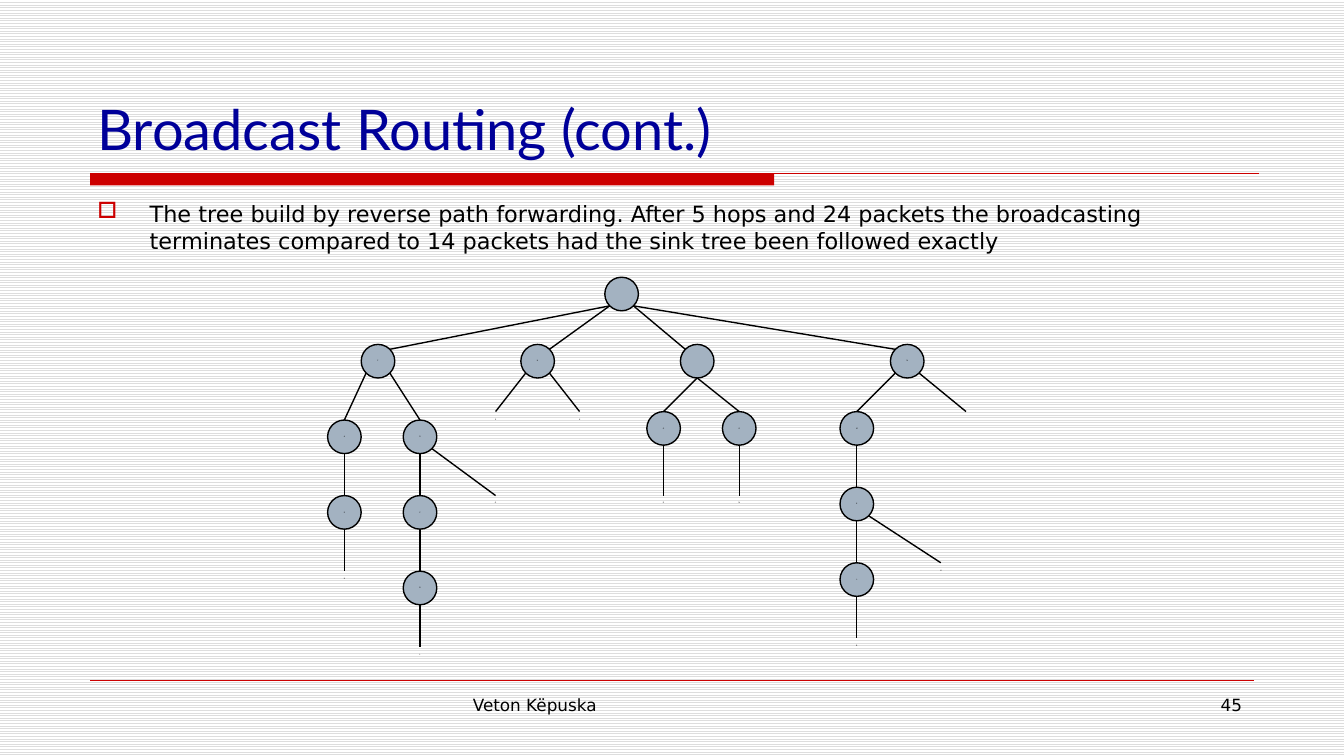
from dataclasses import dataclass
from typing import Any

import pptx
import pptx.dml.color
import pptx.enum.dml
import pptx.enum.shapes
import pptx.enum.text
import pptx.oxml
import pptx.oxml.ns
import pptx.util
from lxml import etree

RGB = pptx.dml.color.RGBColor
BLACK = RGB(0x00, 0x00, 0x00)
WHITE = RGB(0xFF, 0xFF, 0xFF)
GREY = RGB(0xDD, 0xDD, 0xDD)
RED = RGB(0xCC, 0x00, 0x00)
NAVY = RGB(0x00, 0x00, 0x99)
STEEL = RGB(0xA3, 0xB2, 0xC1)

COLS, ROWS, CELL = 160, 90, 1 / 16
RADIUS, SLANT = 2, 1.41
LEAF_W, LEAF_H = 6, 2

ALIGN = pptx.enum.text.PP_ALIGN
ANCHOR = pptx.enum.text.MSO_ANCHOR
FIT = pptx.enum.text.MSO_AUTO_SIZE
SHAPE = pptx.enum.shapes.MSO_SHAPE
BODY = {"name": "DejaVu Sans", "size": pptx.util.Pt(12)}
SMALL = BODY | {"size": pptx.util.Pt(9)}
TINY = BODY | {"size": pptx.util.Pt(1)}
TITLE = {"name": "Lato", "size": pptx.util.Pt(30)}
WRAP = {"word_wrap": True}
MIDDLE = {"word_wrap": False, "vertical_anchor": ANCHOR.MIDDLE}
GROW = {"word_wrap": True, "auto_size": FIT.SHAPE_TO_FIT_TEXT}


@dataclass(frozen=True)
class Node:
    key: str
    text: str
    x: float
    y: float
    root: str = ""
    exit: int = 0
    entry: int = 0


@dataclass(frozen=True)
class Leaf:
    text: str
    x: float
    y: float
    root: str
    exit: int = 0


@dataclass(frozen=True)
class Label:
    text: str
    box: tuple[float, float, float, float]
    font: dict[str, Any]
    color: RGB = BLACK
    frame: dict[str, Any] | None = None
    align: Any = ALIGN.LEFT


NODES = [
    Node("root", "", 74, 35),
    Node("F", "F", 45, 43, "root", -1, 1),
    Node("H", "H", 64, 43, "root", -1, 1),
    Node("mid", "", 83, 43, "root", 1, -1),
    Node("N", "N", 108, 43, "root", 1, -1),
    Node("A", "A", 41, 52, "F", -1),
    Node("D", "D", 50, 52, "F", 1),
    Node("E", "E", 41, 61, "A"),
    Node("C", "C", 50, 61, "D"),
    Node("B", "B", 50, 70, "C"),
    Node("G", "G", 79, 51, "mid"),
    Node("O", "O", 88, 51, "mid"),
    Node("M", "M", 102, 51, "N", -1),
    Node("K", "K", 102, 60, "M"),
    Node("L", "L", 102, 69, "K"),
]
LEAVES = [
    Leaf("L", 50, 77, "B"),
    Leaf("H", 41, 68, "E"),
    Leaf("G", 59, 59, "D", 1),
    Leaf("E", 59, 49, "H", -1),
    Leaf("K", 69, 49, "H", 1),
    Leaf("D", 79, 59, "G"),
    Leaf("N", 88, 59, "O"),
    Leaf("H", 112, 67, "K", 1),
    Leaf("B", 102, 76, "L"),
    Leaf("", 115, 49, "N", 1),
]
HEAD = Label("Broadcast Routing (cont.)", (10, 4, 140, 16), TITLE, NAVY,
             WRAP | {"vertical_anchor": ANCHOR.BOTTOM})
POINT = Label(
    "The tree build by reverse path forwarding. After 5 hops and 24 packets "
    "the broadcasting terminates compared to 14 packets had the sink tree "
    "been followed exactly", (10, 23, 140, 56), BODY)
NAME = Label("Veton Këpuska", (54.72, 81.92, 50.72, 6.24), SMALL)
PAGE = Label("45", (114.72, 81.92, 34.72, 6.24), SMALL, align=ALIGN.RIGHT)


def grid(*cells: float) -> list[int]:
    return [pptx.util.Inches(cell * CELL) for cell in cells]


def apply(item: Any, values: dict[str, Any]) -> None:
    for key, value in values.items():
        setattr(item, key, value)


def write(shape: Any, label: Label) -> Any:
    apply(shape.text_frame, label.frame or WRAP)
    para = shape.text_frame.paragraphs[0]
    para.alignment = label.align
    run = para.add_run()
    run.text = label.text
    apply(run.font, label.font)
    run.font.color.rgb = label.color
    return para


def place(shapes: Any, label: Label) -> Any:
    return write(shapes.add_textbox(*grid(*label.box)), label)


def mark(para: Any, sign: str, color: RGB) -> None:
    props = para._p.get_or_add_pPr()
    indent = pptx.util.Inches(0.39)
    props.set("marL", str(indent))
    props.set("indent", str(-indent))
    name = pptx.oxml.ns.qn
    tint = etree.SubElement(props, name("a:buClr"))
    etree.SubElement(tint, name("a:srgbClr")).set("val", str(color))
    etree.SubElement(props, name("a:buChar")).set("char", sign)


def link(shapes: Any, start: tuple[float, float], end: tuple[float, float],
         color: RGB = BLACK, width: float = 0.75) -> None:
    kind = pptx.enum.shapes.MSO_CONNECTOR.STRAIGHT
    line = shapes.add_connector(kind, *grid(*start, *end))
    line.line.color.rgb = color
    line.line.width = pptx.util.Pt(width)
    etree.SubElement(line._element.spPr, pptx.oxml.ns.qn("a:effectLst"))


def solid(shapes: Any, kind: Any, box: tuple[float, ...], color: RGB) -> Any:
    shape = shapes.add_shape(kind, *grid(*box))
    shape.shadow.inherit = False
    shape.fill.solid()
    shape.fill.fore_color.rgb = color
    shape.line.fill.background()
    return shape


def rim(node: Node, side: int, way: int) -> tuple[float, float]:
    drop = SLANT if side else RADIUS
    return node.x + side * SLANT, node.y + way * drop


def disc(shapes: Any, node: Node) -> None:
    box = (node.x - RADIUS, node.y - RADIUS, 2 * RADIUS, 2 * RADIUS)
    shape = solid(shapes, SHAPE.OVAL, box, STEEL)
    shape.line.color.rgb = BLACK
    shape.line.width = pptx.util.Pt(0.75)
    if node.text:
        write(shape, Label(node.text, box, TINY, BLACK, MIDDLE, ALIGN.CENTER))


def tree(shapes: Any) -> None:
    known = {node.key: node for node in NODES}
    for node in NODES:
        disc(shapes, node)
    for node in NODES[1:]:
        link(shapes, rim(known[node.root], node.exit, 1),
             rim(node, node.entry, -1))
    for leaf in LEAVES:
        link(shapes, rim(known[leaf.root], leaf.exit, 1), (leaf.x, leaf.y))
        if leaf.text:
            box = (leaf.x - LEAF_W / 2, leaf.y, LEAF_W, LEAF_H)
            place(shapes, Label(leaf.text, box, TINY, BLACK, GROW,
                                ALIGN.CENTER))


def main() -> None:
    deck = pptx.Presentation()
    deck.slide_width, deck.slide_height = grid(COLS, ROWS)
    slide = deck.slides.add_slide(deck.slide_layouts[6])
    fill = slide.background.fill
    fill.patterned()
    fill.pattern = pptx.enum.dml.MSO_PATTERN.LIGHT_HORIZONTAL
    fill.fore_color.rgb = GREY
    fill.back_color.rgb = WHITE
    shapes = slide.shapes
    solid(shapes, SHAPE.RECTANGLE, (10.72, 20.64, 81.44, 1.44), RED)
    link(shapes, (10.72, 20.64), (149.92, 20.64), RED)
    link(shapes, (10.72, 80.96), (149.28, 80.96), RED, 0.25)
    for label in (NAME, PAGE, HEAD):
        place(shapes, label)
    mark(place(shapes, POINT), "□", RED)
    tree(shapes.add_group_shape().shapes)
    deck.save("out.pptx")


if __name__ == "__main__":
    main()
